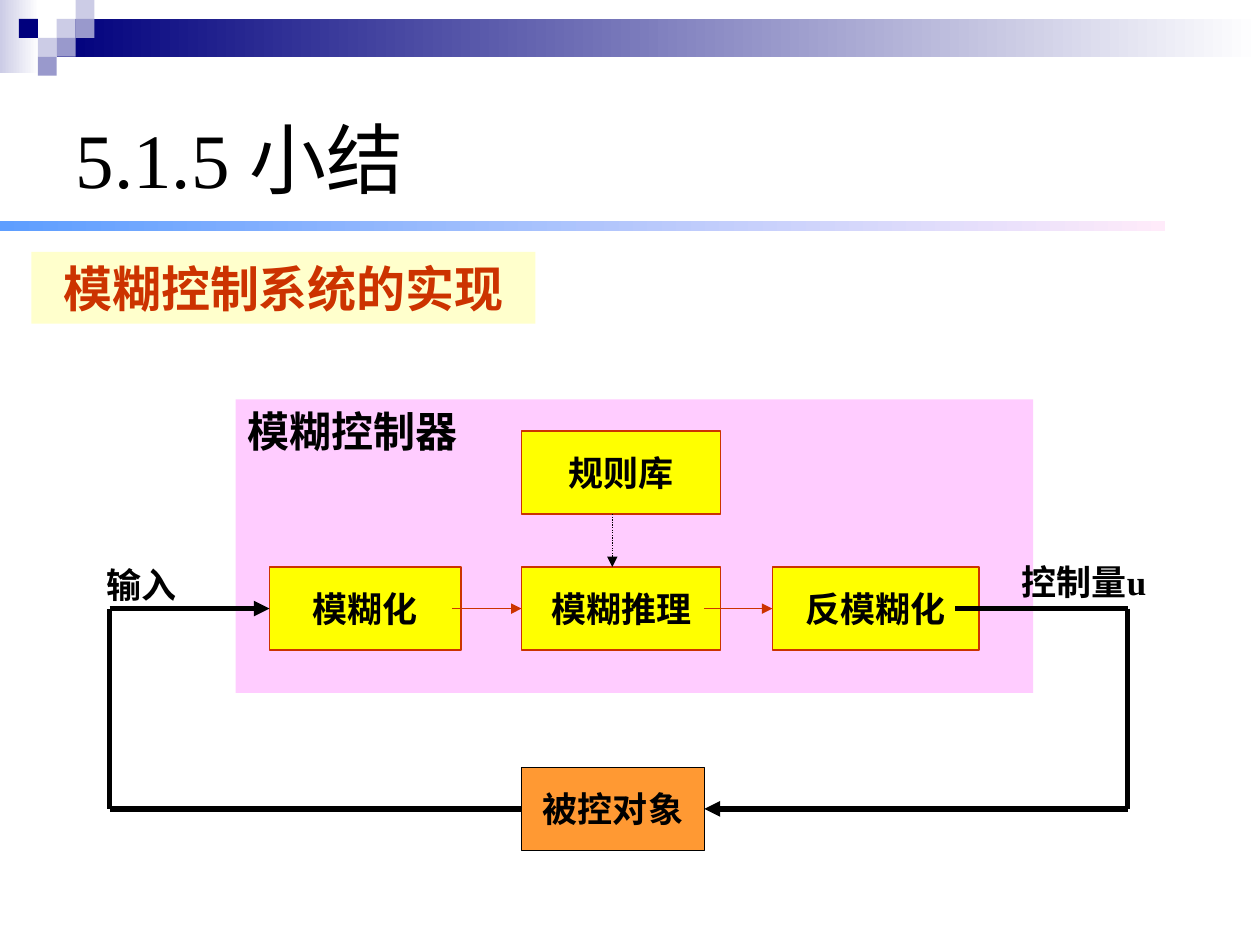
from dataclasses import dataclass
from typing import Any, Optional

import lxml.etree
import pptx
import pptx.dml.color
import pptx.enum.dml
import pptx.enum.shapes
import pptx.enum.text
import pptx.oxml.ns
import pptx.util

EMU_PER_PX = 9144  # 100 px to the inch
ALIGN = pptx.enum.text.PP_ALIGN
ANCHOR = pptx.enum.text.MSO_ANCHOR
LEFT, RIGHT = 1, 3  # connection sites of a rectangle


@dataclass(frozen=True)
class Theme:
    black: str = "000000"
    white: str = "FFFFFF"
    navy: str = "00007D"
    lavender: str = "CCCCE6"
    violet: str = "9999CC"
    blue: str = "5E9EFF"
    blush: str = "FFEBFA"
    red: str = "CC3300"
    cream: str = "FFFFCC"
    pink: str = "FFCCFF"
    yellow: str = "FFFF00"
    orange: str = "FF9933"
    latin: str = "Times New Roman"
    sans: str = "Arial"
    title_size: int = 44
    heading_size: int = 28
    panel_size: int = 24
    box_size: int = 20
    thin: float = 0.75
    thick: float = 3


THEME = Theme()


@dataclass(frozen=True)
class Frame:
    left: int
    top: int
    width: int
    height: int

    def emu(self) -> list[int]:
        return [px(v) for v in (self.left, self.top, self.width, self.height)]


@dataclass(frozen=True)
class Box:
    frame: Frame
    fill: str
    text: str = ""
    line: Optional[str] = None
    size: int = THEME.box_size
    color: str = THEME.black
    align: Any = ALIGN.CENTER
    anchor: Any = ANCHOR.MIDDLE


@dataclass(frozen=True)
class Link:
    """A straight line; source and target name the boxes it is joined to."""
    start: tuple[int, int]
    end: tuple[int, int]
    color: str = THEME.black
    width: float = THEME.thick
    arrow: bool = False
    dotted: bool = False
    source: Optional[tuple[str, int]] = None
    target: Optional[tuple[str, int]] = None


def px(length: int) -> int:
    return pptx.util.Emu(length * EMU_PER_PX)


def rgb(color: str) -> pptx.dml.color.RGBColor:
    return pptx.dml.color.RGBColor.from_string(color)


def apply(target: Any, values: dict[str, Any]) -> None:
    for name, value in values.items():
        setattr(target, name, value)


def write_run(paragraph: Any, text: str, size: int, color: str, font: str, bold: bool) -> None:
    run = paragraph.add_run()
    run.text = text
    apply(run.font, {"size": pptx.util.Pt(size), "name": font, "bold": bold})
    run.font.color.rgb = rgb(color)


def add_rectangle(slide: Any, frame: Frame) -> Any:
    shape = slide.shapes.add_shape(pptx.enum.shapes.MSO_SHAPE.RECTANGLE, *frame.emu())
    shape.shadow.inherit = False
    shape.line.fill.background()
    return shape


def add_gradient(slide: Any, frame: Frame, left_color: str, right_color: str) -> None:
    fill = add_rectangle(slide, frame).fill
    fill.gradient()
    fill.gradient_angle = 0
    for stop, color in zip(fill.gradient_stops, (left_color, right_color)):
        stop.color.rgb = rgb(color)


def add_box(slide: Any, box: Box) -> Any:
    shape = add_rectangle(slide, box.frame)
    shape.fill.solid()
    shape.fill.fore_color.rgb = rgb(box.fill)
    if box.line:
        shape.line.color.rgb = rgb(box.line)
        shape.line.width = pptx.util.Pt(THEME.thin)
    if box.text:
        apply(shape.text_frame, {"word_wrap": False, "vertical_anchor": box.anchor})
        paragraph = shape.text_frame.paragraphs[0]
        paragraph.alignment = box.align
        write_run(paragraph, box.text, box.size, box.color, THEME.latin, True)
    return shape


def add_label(slide: Any, frame: Frame, text: str) -> None:
    label = slide.shapes.add_textbox(*frame.emu())
    apply(label.text_frame, {"word_wrap": True, "margin_right": 0})
    write_run(label.text_frame.paragraphs[0], text, THEME.box_size, THEME.black, THEME.latin, True)


def add_link(slide: Any, link: Link, shapes: dict[str, Any]) -> None:
    connector = slide.shapes.add_connector(
        pptx.enum.shapes.MSO_CONNECTOR.STRAIGHT, *(px(v) for v in link.start + link.end))
    if link.source:
        connector.begin_connect(shapes[link.source[0]], link.source[1])
    if link.target:
        connector.end_connect(shapes[link.target[0]], link.target[1])
    connector.line.color.rgb = rgb(link.color)
    connector.line.width = pptx.util.Pt(link.width)
    if link.dotted:
        connector.line.dash_style = pptx.enum.dml.MSO_LINE.ROUND_DOT
    qn = pptx.oxml.ns.qn
    properties = connector.line._get_or_add_ln()
    if link.arrow:
        lxml.etree.SubElement(properties, qn("a:tailEnd"), type="triangle")
    lxml.etree.SubElement(properties.getparent(), qn("a:effectLst"))


def add_banner(slide: Any) -> None:
    """Draw the top band, its checkered squares and the rule under the title."""
    add_gradient(slide, Frame(0, 0, 31, 58), THEME.lavender, THEME.white)
    add_gradient(slide, Frame(45, 15, 955, 30), THEME.navy, THEME.white)
    cell = 15
    squares = {
        THEME.lavender: [(3, 1), (4, 0), (2, 2)],
        THEME.violet: [(4, 1), (3, 2), (2, 3)],
        THEME.navy: [(1, 1)],
    }
    for color, places in squares.items():
        for column, row in places:
            add_box(slide, Box(Frame(column * cell, row * cell, cell, cell), color))
    add_gradient(slide, Frame(0, 175, 925, 8), THEME.blue, THEME.blush)


def add_title(slide: Any) -> None:
    title = slide.shapes.title
    apply(title, dict(zip(("left", "top", "width", "height"), Frame(50, 50, 900, 150).emu())))
    apply(title.text_frame, {"vertical_anchor": ANCHOR.MIDDLE, "word_wrap": True})
    paragraph = title.text_frame.paragraphs[0]
    paragraph.alignment = ALIGN.LEFT
    for text, font in (("5.1.5 ", THEME.latin), ("小结", THEME.sans)):
        write_run(paragraph, text, THEME.title_size, THEME.black, font, False)


def add_diagram(slide: Any) -> None:
    height, row, plant_top = 66, 450, 609
    flow, feedback = row + height // 2, plant_top + height // 2
    loop_left, loop_right = 87, 895
    boxes = {
        "panel": Box(Frame(187, 317, 633, 233), THEME.pink, "模糊控制器",
                     size=THEME.panel_size, align=ALIGN.LEFT, anchor=ANCHOR.TOP),
        "fuzzify": Box(Frame(214, row, 152, height), THEME.yellow, "模糊化", THEME.red),
        "infer": Box(Frame(414, row, 158, height), THEME.yellow, "模糊推理", THEME.red),
        "rules": Box(Frame(414, 342, 158, height), THEME.yellow, "规则库", THEME.red),
        "defuzzify": Box(Frame(613, row, 164, height), THEME.yellow, "反模糊化", THEME.red),
        "plant": Box(Frame(414, plant_top, 145, height), THEME.orange, "被控对象", THEME.black),
    }
    shapes = {name: add_box(slide, box) for name, box in boxes.items()}
    links = [
        Link((359, flow), (414, flow), THEME.red, THEME.thin, True, target=("infer", LEFT)),
        Link((559, flow), (613, flow), THEME.red, THEME.thin, True, target=("defuzzify", LEFT)),
        Link((486, 408), (486, row), width=THEME.thin, arrow=True, dotted=True),
        Link((758, flow), (loop_right, flow)),
        Link((loop_right, flow), (loop_right, feedback)),
        Link((loop_right, feedback), (559, feedback), arrow=True, target=("plant", RIGHT)),
        Link((414, feedback), (loop_left, feedback), source=("plant", LEFT)),
        Link((loop_left, feedback), (loop_left, flow)),
        Link((loop_left, flow), (214, flow), arrow=True, target=("fuzzify", LEFT)),
    ]
    for link in links:
        add_link(slide, link, shapes)
    add_label(slide, Frame(801, 440, 125, 44), "控制量u")
    add_label(slide, Frame(75, 442, 75, 44), "输入")


def main() -> None:
    presentation = pptx.Presentation()
    apply(presentation, {"slide_width": px(1000), "slide_height": px(750)})
    slide = presentation.slides.add_slide(presentation.slide_layouts[5])
    add_banner(slide)
    add_title(slide)
    add_box(slide, Box(Frame(25, 200, 400, 57), THEME.cream, "模糊控制系统的实现",
                       size=THEME.heading_size, color=THEME.red, anchor=ANCHOR.TOP))
    add_diagram(slide)
    presentation.save("out.pptx")


if __name__ == "__main__":
    main()
